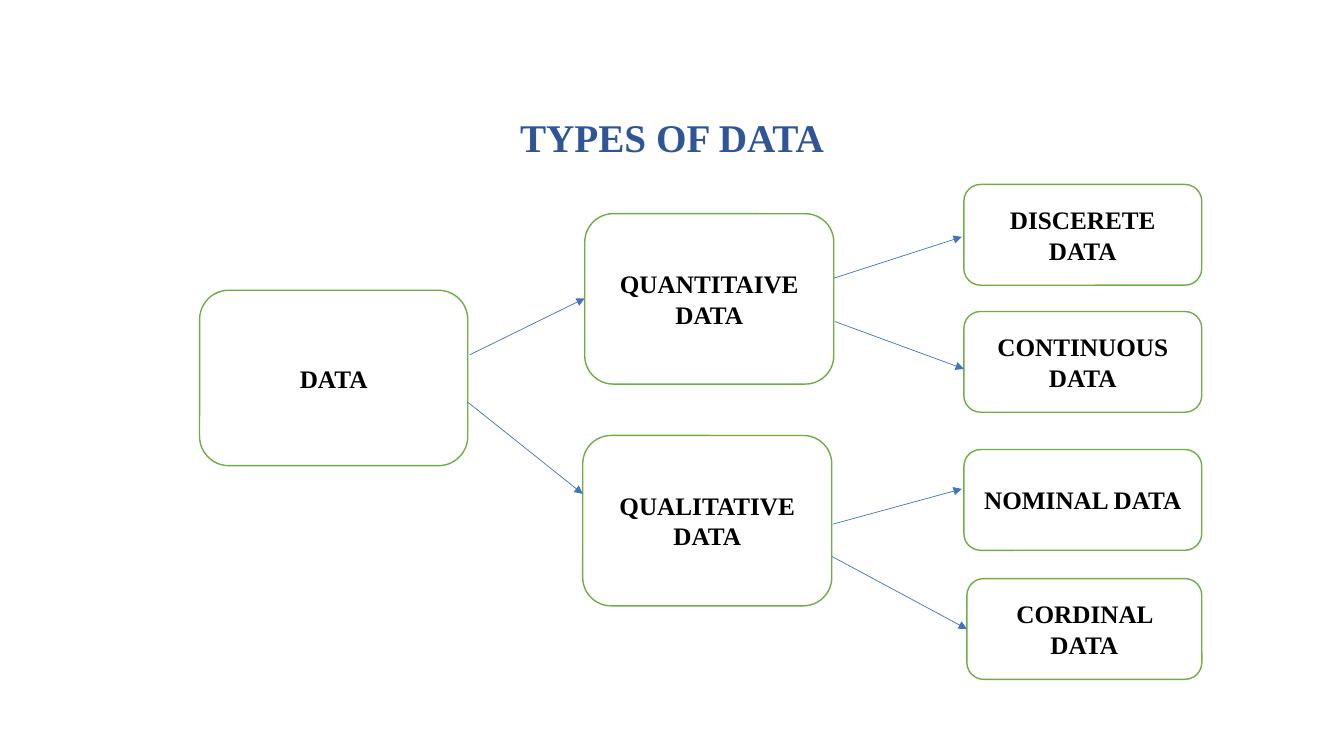
from dataclasses import dataclass

from lxml import etree
from pptx import Presentation
from pptx.dml.color import RGBColor
from pptx.enum.shapes import MSO_CONNECTOR, MSO_SHAPE
from pptx.enum.text import MSO_ANCHOR, MSO_AUTO_SIZE, PP_ALIGN
from pptx.oxml.ns import qn
from pptx.util import Inches, Pt

ROUNDED = MSO_SHAPE.ROUNDED_RECTANGLE
STRAIGHT = MSO_CONNECTOR.STRAIGHT
CENTER = PP_ALIGN.CENTER
MIDDLE = MSO_ANCHOR.MIDDLE
NO_AUTOFIT = MSO_AUTO_SIZE.NONE
TITLE_ONLY = 5


@dataclass(frozen=True)
class Theme:
    font: str = "Times New Roman"
    title_color: str = "2F5597"
    text_color: str = "000000"
    box_fill: str = "FFFFFF"
    box_line: str = "70AD47"
    arrow_color: str = "4472C4"
    title_size: float = 28
    box_size: float = 18
    box_weight: float = 1
    arrow_weight: float = 0.5


# Label and left, top, width, height
BOXES = [
    ("DATA", (1.98, 2.88, 2.66, 1.74)),
    ("QUANTITAIVE DATA", (5.8, 2.12, 2.47, 1.69)),
    ("QUALITATIVE DATA", (5.78, 4.32, 2.47, 1.69)),
    ("DISCERETE DATA", (9.56, 1.83, 2.36, 1)),
    ("CONTINUOUS DATA", (9.56, 3.09, 2.36, 1)),
    ("NOMINAL DATA", (9.56, 4.46, 2.36, 1)),
    ("CORDINAL DATA", (9.59, 5.74, 2.33, 1)),
]

# Start and end points
ARROWS = [
    ((4.66, 3.52), (5.8, 2.96)),
    ((4.64, 3.99), (5.78, 4.9)),
    ((8.27, 2.76), (9.54, 2.35)),
    ((8.28, 3.19), (9.56, 3.66)),
    ((8.26, 5.2), (9.54, 4.85)),
    ((8.25, 5.52), (9.59, 6.24)),
]


def write_text(frame, text, *, font, size, color, wrap=True):
    """Fill a text frame with one bold paragraph centred both ways."""
    frame.auto_size = NO_AUTOFIT
    frame.word_wrap = wrap
    frame.vertical_anchor = MIDDLE
    para = frame.paragraphs[0]
    para.alignment = CENTER
    span = para.add_run()
    span.text = text
    span.font.name = font
    span.font.size = Pt(size)
    span.font.bold = True
    span.font.color.rgb = RGBColor.from_string(color)


class DiagramSlide:
    def __init__(self, deck, theme):
        self.theme = theme
        self.page = deck.slides.add_slide(deck.slide_layouts[TITLE_ONLY])

    def title(self, text, left, top, width, height):
        title = self.page.shapes.title
        title.left, title.top = Inches(left), Inches(top)
        title.width, title.height = Inches(width), Inches(height)
        write_text(title.text_frame, text, font=self.theme.font,
                   size=self.theme.title_size,
                   color=self.theme.title_color, wrap=False)

    def box(self, text, bounds):
        box = self.page.shapes.add_shape(ROUNDED, *map(Inches, bounds))
        box.shadow.inherit = False
        box.fill.solid()
        box.fill.fore_color.rgb = RGBColor.from_string(self.theme.box_fill)
        box.line.color.rgb = RGBColor.from_string(self.theme.box_line)
        box.line.width = Pt(self.theme.box_weight)
        write_text(box.text_frame, text, font=self.theme.font,
                   size=self.theme.box_size, color=self.theme.text_color)

    def arrow(self, start, end):
        arrow = self.page.shapes.add_connector(
            STRAIGHT, *map(Inches, start + end))
        arrow.line.color.rgb = RGBColor.from_string(self.theme.arrow_color)
        arrow.line.width = Pt(self.theme.arrow_weight)
        properties = arrow.element.spPr
        outline = properties.find(qn("a:ln"))
        etree.SubElement(outline, qn("a:tailEnd"), type="triangle")
        etree.SubElement(properties, qn("a:effectLst"))


def main():
    deck = Presentation()
    deck.slide_width, deck.slide_height = Inches(13.33), Inches(7.5)
    slide = DiagramSlide(deck, Theme())
    slide.title("TYPES OF DATA", 5.04, 1.07, 3.25, 0.57)
    for label, bounds in BOXES:
        slide.box(label, bounds)
    for start, end in ARROWS:
        slide.arrow(start, end)
    deck.save("out.pptx")


if __name__ == "__main__":
    main()
